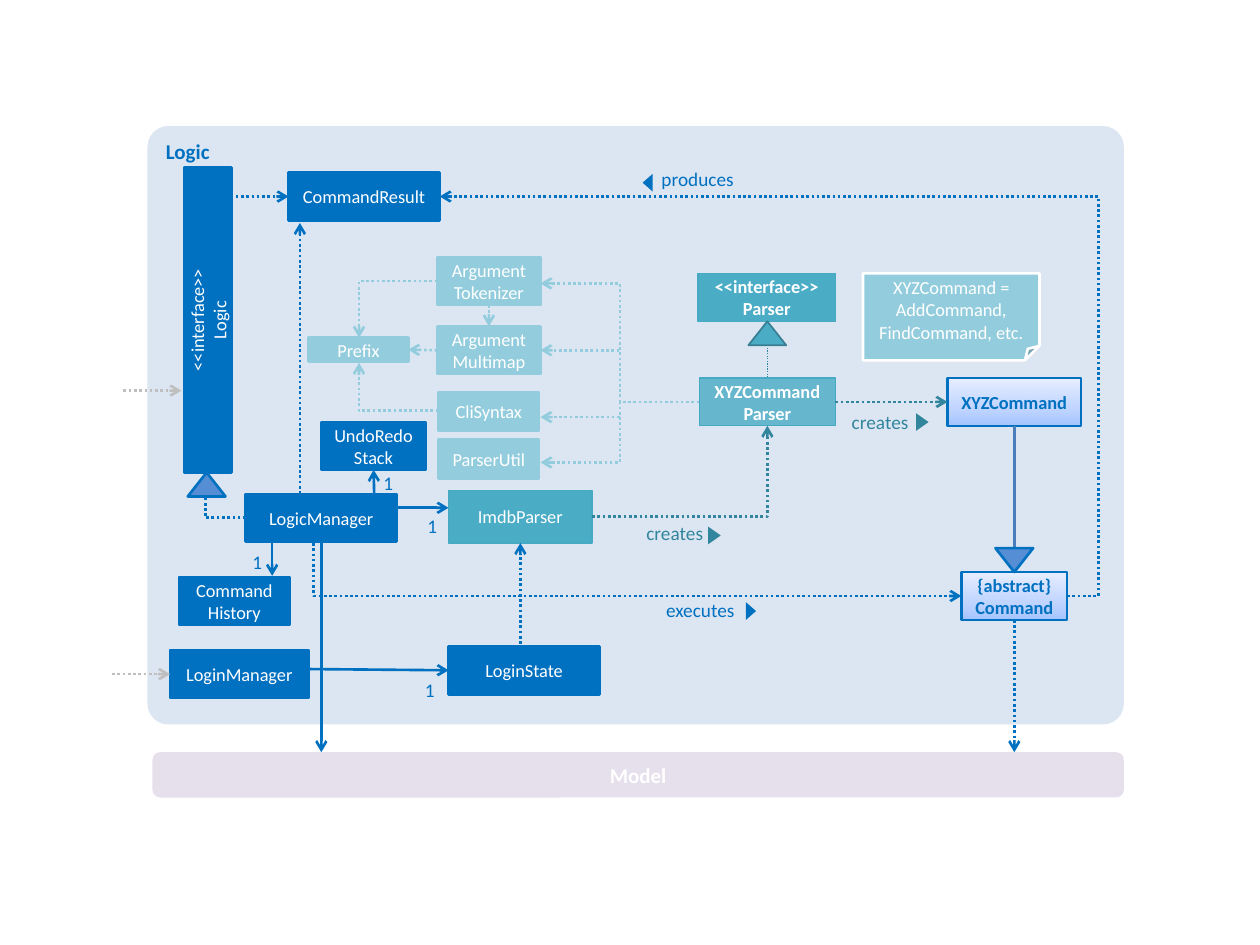
from copy import deepcopy

from pptx import Presentation
from pptx.dml.color import RGBColor
from pptx.enum.dml import MSO_LINE
from pptx.enum.shapes import MSO_CONNECTOR as CONNECTOR, MSO_SHAPE as SHAPE
from pptx.enum.text import MSO_ANCHOR as ANCHOR, PP_ALIGN as ALIGN
from pptx.oxml.ns import qn
from pptx.oxml.xmlchemy import OxmlElement
from pptx.util import Inches, Pt

COLORS = {
    "white": "FFFFFF", "panel": "DCE6F2", "model": "E6E0EC", "blue": "0070C0",
    "teal": "4BACC6", "teal_edge": "46AAC5", "teal_dark": "31859C",
    "triangle_edge": "377F92", "pale": "93CDDD", "arrowhead": "558ED5",
    "inherit": "4B7EBC", "gray": "BFBFBF",
}
GRADIENT = [(0, "A4C4FF"), (0.35, "BFD4FF"), (1, "E6EEFF")]
STYLES = {
    "blue": {"fill": "blue", "line": "blue"},
    "pale": {"fill": "pale", "line": "pale"},
    "teal": {"fill": "teal", "line": "teal_edge", "width": 0.75},
    "command": {"line": "blue", "color": "blue", "bold": True},
    "note": {"fill": "pale", "line": "white"},
}
TOP, LEFT, BOTTOM, RIGHT = range(4)


class Diagram:
    font_name = "Calibri"
    box_size = 10.5
    label_size = 11

    def __init__(self, slide):
        self.slide = slide

    def color(self, name):
        return RGBColor.from_string(COLORS[name])

    def set_text(self, shape, text, color, size, align, anchor, margins, bold=False):
        frame = shape.text_frame
        sides = dict(zip(("margin_left", "margin_top", "margin_right", "margin_bottom"),
                         map(Inches, margins)))
        for name, value in {"word_wrap": True, "vertical_anchor": anchor, **sides}.items():
            setattr(frame, name, value)
        frame.text = text
        for paragraph in frame.paragraphs:
            paragraph.alignment = align
            for name, value in {"name": self.font_name, "size": Pt(size), "bold": bold}.items():
                setattr(paragraph.font, name, value)
            paragraph.font.color.rgb = self.color(color)

    def shape(self, kind, at, fill=None, line=None, width=1.5, rotation=0):
        shape = self.slide.shapes.add_shape(kind, *map(Inches, at))
        shape.shadow.inherit = False
        shape.rotation = rotation
        if fill:
            shape.fill.solid()
            shape.fill.fore_color.rgb = self.color(fill)
        else:
            self.gradient(shape)
        if line:
            shape.line.color.rgb = self.color(line)
            shape.line.width = Pt(width)
        else:
            shape.line.fill.background()
        return shape

    def gradient(self, shape):
        shape.fill.gradient()
        shape.fill.gradient_angle = 90
        stop_list = shape.element.spPr.find(".//" + qn("a:gsLst"))
        stop_list.append(deepcopy(stop_list[0]))
        for stop, (position, value) in zip(shape.fill.gradient_stops, GRADIENT):
            stop.position = position
            stop.color.rgb = RGBColor.from_string(value)

    def panel(self, text, at, fill, color, radius, size, align, anchor):
        shape = self.shape(SHAPE.ROUNDED_RECTANGLE, at, fill)
        shape.adjustments[0] = radius
        self.set_text(shape, text, color, size, align, anchor, (0.1, 0.05, 0.1, 0.05), True)

    def box(self, text, at, style, bold=False, rotation=0, kind=SHAPE.RECTANGLE):
        look = {"color": "white", "bold": bold, **STYLES[style]}
        color, bold = look.pop("color"), look.pop("bold")
        shape = self.shape(kind, at, rotation=rotation, **look)
        self.set_text(shape, text, color, self.box_size, ALIGN.CENTER, ANCHOR.MIDDLE,
                      (0.05, 0.05, 0.05, 0.05), bold)
        return shape

    def triangle(self, at, fill, line=None, width=1.5, rotation=0):
        self.shape(SHAPE.ISOSCELES_TRIANGLE, at, fill, line, width, rotation)

    def label(self, text, at, color="blue", align=ALIGN.LEFT):
        shape = self.slide.shapes.add_textbox(*map(Inches, at))
        self.set_text(shape, text, color, self.label_size, align, ANCHOR.TOP, (0, 0, 0, 0))

    def connect(self, start, end, color="blue", dotted=True, arrow=True, width=1.5,
                preset=None, bend=None):
        points = [(0, 0) if hasattr(point[0], "shape_id") else point for point in (start, end)]
        kind = CONNECTOR.ELBOW if preset else CONNECTOR.STRAIGHT
        connector = self.slide.shapes.add_connector(
            kind, *(Inches(value) for point in points for value in point))
        for point, join in ((start, connector.begin_connect), (end, connector.end_connect)):
            if hasattr(point[0], "shape_id"):
                join(*point)
        connector.line.color.rgb = self.color(color)
        connector.line.width = Pt(width)
        if dotted:
            connector.line.dash_style = MSO_LINE.ROUND_DOT
        properties = connector.element.spPr
        if arrow:
            tail = OxmlElement("a:tailEnd")
            tail.set("type", "arrow")
            properties.find(qn("a:ln")).append(tail)
        properties.append(OxmlElement("a:effectLst"))
        if preset:
            geometry = properties.find(qn("a:prstGeom"))
            geometry.set("prst", preset)
            if bend is not None:
                guide = OxmlElement("a:gd")
                guide.set("name", "adj1")
                guide.set("fmla", f"val {round(bend * 100000)}")
                geometry.find(qn("a:avLst")).append(guide)

    def corner(self, start, end, color="blue", arrow=True):
        self.connect(start, end, color, arrow=arrow, preset="bentConnector2")

    def step(self, start, end, color="blue", bend=0.5):
        self.connect(start, end, color, preset="bentConnector3", bend=bend)


def main():
    presentation = Presentation()
    presentation.slide_width, presentation.slide_height = Inches(10), Inches(7.5)
    diagram = Diagram(presentation.slides.add_slide(presentation.slide_layouts[6]))
    box, connect = diagram.box, diagram.connect

    diagram.panel("Logic", (1.17, 1, 7.75, 4.75), "panel", "blue", 0.035, 12,
                  ALIGN.LEFT, ANCHOR.TOP)
    diagram.panel("Model", (1.21, 5.97, 7.71, 0.36), "model", "white", 0.17, 12,
                  ALIGN.CENTER, ANCHOR.MIDDLE)

    box("<<interface>>\nLogic", (0.44, 2.35, 2.42, 0.38), "blue", rotation=270)
    result = box("CommandResult", (2.29, 1.37, 1.2, 0.38), "blue")
    manager = box("LogicManager", (1.95, 3.92, 1.2, 0.38), "blue")
    box("Command\nHistory", (1.42, 4.58, 0.88, 0.38), "blue")
    undo_stack = box("UndoRedo\nStack", (2.55, 3.35, 0.83, 0.38), "blue")
    login_manager = box("LoginManager", (1.35, 5.16, 1.1, 0.38), "blue")
    login_state = box("LoginState", (3.56, 5.13, 1.2, 0.38), "blue")
    tokenizer = box("Argument\vTokenizer", (3.47, 2.04, 0.82, 0.38), "pale")
    multimap = box("Argument\vMultimap", (3.47, 2.59, 0.82, 0.38), "pale")
    prefix = box("Prefix", (2.45, 2.68, 0.79, 0.19), "pale")
    box("CliSyntax", (3.48, 3.11, 0.8, 0.31), "pale")
    box("ParserUtil", (3.48, 3.49, 0.8, 0.31), "pale")
    imdb_parser = box("ImdbParser", (3.56, 3.89, 1.14, 0.42), "teal")
    box("<<interface>>\nParser", (5.54, 2.17, 1.09, 0.38), "teal", bold=True)
    xyz_parser = box("XYZCommand\nParser", (5.55, 3, 1.08, 0.38), "teal", bold=True)
    alpha = OxmlElement("a:alpha")
    alpha.set("val", "81000")
    xyz_parser.element.spPr.find(qn("a:solidFill"))[0].append(alpha)
    xyz_command = box("XYZCommand", (7.52, 3, 1.06, 0.38), "command")
    command = box("{abstract}\vCommand", (7.63, 4.54, 0.84, 0.38), "command")
    box("XYZCommand = AddCommand, FindCommand, etc.", (6.85, 2.17, 1.4, 0.69), "note",
        kind=SHAPE.FOLDED_CORNER)

    connect((1.83, 1.56), (result, LEFT))
    connect((command, BOTTOM), (8.05, 5.97))
    connect((manager, BOTTOM), (2.55, 5.97), dotted=False)
    connect((2.38, 3.92), (2.38, 1.77))
    connect((2.16, 4.31), (2.16, 4.57), dotted=False)
    connect((3.16, 4.03), (3.56, 4.03), dotted=False)
    connect((2.97, 3.92), (undo_stack, BOTTOM), dotted=False)
    connect((2.45, 5.31), (login_state, LEFT), dotted=False)
    connect((4.13, 5.11), (imdb_parser, BOTTOM))
    connect((0.98, 3.1), (1.44, 3.1), "gray")
    connect((0.89, 5.35), (login_manager, LEFT), "gray")
    connect((multimap, LEFT), (prefix, RIGHT), "pale")
    connect((tokenizer, BOTTOM), (multimap, TOP), "pale")
    connect((xyz_parser, RIGHT), (xyz_command, LEFT), "teal_dark")
    connect((6.09, 2.74), (xyz_parser, TOP), "teal_dark", arrow=False, width=0.75)
    connect((8.05, 4.35), (xyz_command, BOTTOM), "inherit", dotted=False, arrow=False)

    diagram.corner((1.95, 4.11), (1.63, 3.94), arrow=False)
    diagram.corner((3.48, 3.26), (2.85, 2.88), "pale")
    diagram.corner((3.47, 2.23), (2.85, 2.68), "pale")
    diagram.corner((4.7, 4.1), (6.09, 3.38), "teal_dark")
    diagram.step((8.47, 4.73), (3.49, 1.56), bend=-0.05)
    diagram.step((2.49, 4.31), (7.63, 4.73), bend=0)
    for y in (2.25, 2.78, 3.31, 3.67):
        diagram.step((5.55, 3.19), (4.29, y), "pale")

    diagram.triangle((1.49, 3.75, 0.3, 0.19), "arrowhead", "blue")
    diagram.triangle((7.9, 4.35, 0.3, 0.19), "arrowhead", "blue", rotation=180)
    diagram.triangle((5.94, 2.55, 0.3, 0.19), "teal", "triangle_edge", 1)

    diagram.label("executes", (5.03, 4.75, 0.8, 0.25), align=ALIGN.RIGHT)
    diagram.triangle((5.89, 4.81, 0.14, 0.08), "blue", rotation=90)
    diagram.label("produces", (5.25, 1.33, 0.8, 0.25))
    diagram.triangle((5.07, 1.41, 0.14, 0.08), "blue", rotation=270)
    for left, top, pointer_left, pointer_top in ((5.13, 4.14, 5.6, 4.2), (6.76, 3.26, 7.25, 3.3)):
        diagram.label("creates", (left, top, 0.65, 0.25), "teal_dark")
        diagram.triangle((pointer_left, pointer_top, 0.14, 0.1), "teal_dark", rotation=90)
    for left, top in ((3.33, 4.08), (1.94, 4.37), (2.98, 3.74), (3.31, 5.38)):
        diagram.label("1", (left, top, 0.14, 0.25), align=ALIGN.RIGHT)

    presentation.save("out.pptx")


if __name__ == "__main__":
    main()
